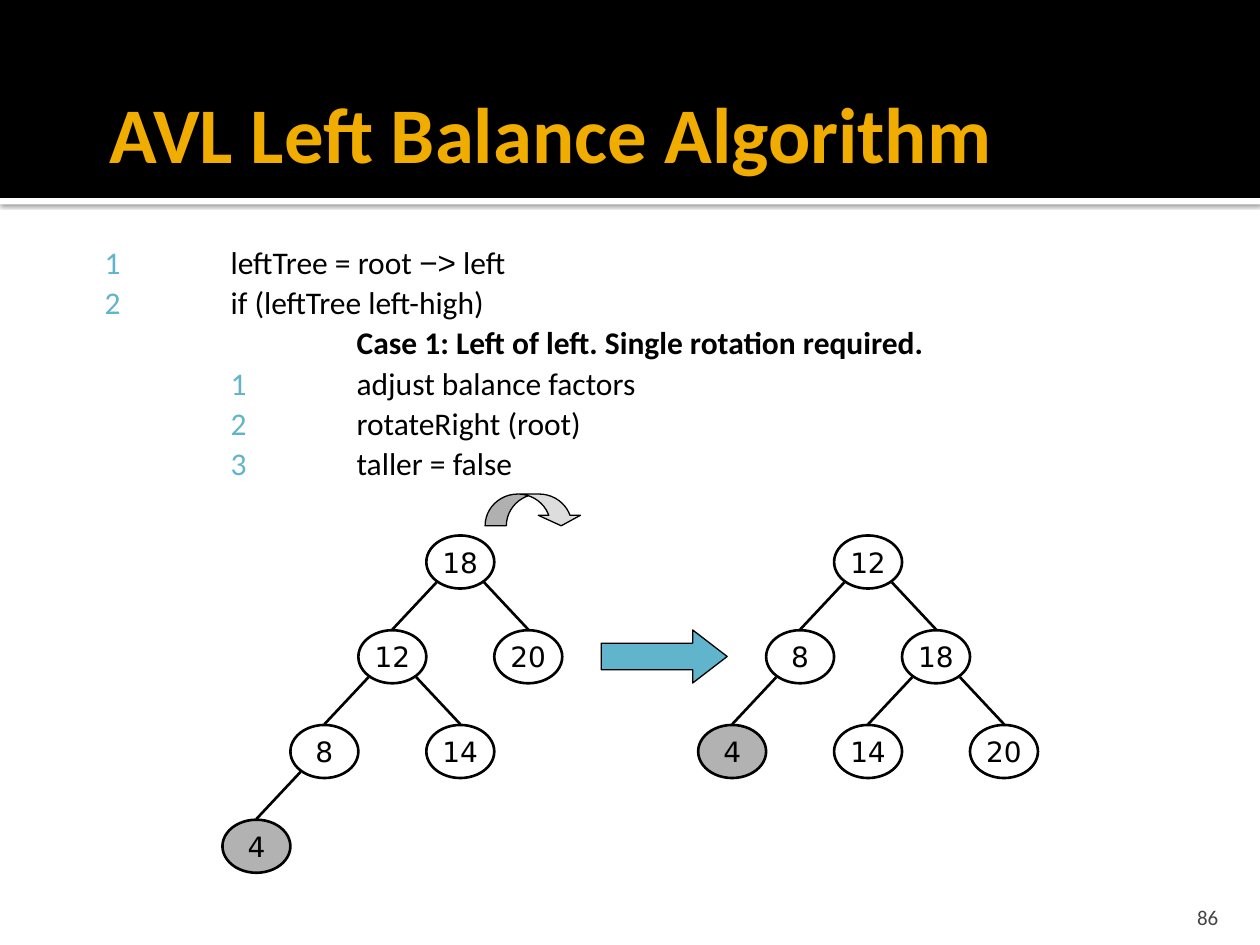
"""Build the AVL left balance slide with its code steps and two trees."""
from lxml.etree import SubElement
from pptx import Presentation
from pptx.dml.color import RGBColor
from pptx.enum.shapes import MSO_CONNECTOR, MSO_SHAPE
from pptx.enum.text import MSO_ANCHOR, PP_ALIGN
from pptx.oxml.ns import qn
from pptx.util import Cm, Pt


def rgb(value):
    return RGBColor.from_string(value)


def add_run(p, text, size, color, font="Calibri", bold=False):
    r = p.add_run()
    r.text = text
    r.font.size = Pt(size)
    r.font.name = font
    r.font.bold = bold
    r.font.color.rgb = rgb(color)


prs = Presentation()
prs.slide_width, prs.slide_height = Cm(25.4), Cm(19.05)
s = prs.slides.add_slide(prs.slide_layouts[6])

for top, height, color in [(3.99, 0.13, "FFFFFF"), (0, 3.99, "000000")]:
    sp = s.shapes.add_shape(MSO_SHAPE.RECTANGLE, 0, Cm(top), Cm(25.4), Cm(height))
    sp.shadow.inherit = False
    sp.fill.solid()
    sp.fill.fore_color.rgb = rgb(color)
    sp.line.fill.background()
    if color == "FFFFFF":
        effects = sp._element.spPr.find(qn("a:effectLst"))
        shadow = SubElement(effects, qn("a:outerShdw"), blurRad="31750", dist="10160",
                            dir="5400000", algn="t", rotWithShape="0")
        clr = SubElement(shadow, qn("a:srgbClr"), val="000000")
        SubElement(clr, qn("a:alpha"), val="60000")

frames = []
for left, top, width, height, anchor, margins in [
    (22.78, 17.98, 2.03, 0.76, MSO_ANCHOR.BOTTOM, (0.25, 0.13, 0.25, 0)),
    (1.96, 1.07, 21.59, 3.18, MSO_ANCHOR.MIDDLE, (0.25, 0.13, 0.13, 0.13)),
    (1.96, 4.65, 21.59, 11.43, MSO_ANCHOR.TOP, (0.15, 0.25, 0.25, 0.13)),
]:
    tf = s.shapes.add_textbox(Cm(left), Cm(top), Cm(width), Cm(height)).text_frame
    tf.word_wrap = True
    tf.vertical_anchor = anchor
    tf.margin_left, tf.margin_top, tf.margin_right, tf.margin_bottom = map(Cm, margins)
    frames.append(tf)
number, title, body = frames

number.paragraphs[0].alignment = PP_ALIGN.RIGHT
add_run(number.paragraphs[0], "86", 12, "454545")
add_run(title.paragraphs[0], "AVL Left Balance Algorithm", 45, "F0AD00", bold=True)

black, blue = "000000", "60B5CC"
steps = [
    [("1", blue), ("\tleftTree = root ", black), ("−>", black, "Arial"), (" left", black)],
    [("2", blue), ("\tif (leftTree left-high)", black)],
    [("\t\t", black),
     ("Case 1: Left of left. Single rotation required.", black, "Calibri", True)],
    [("\t1", blue), ("\tadjust balance factors", black)],
    [("\t2", blue), ("\trotateRight (root)", black)],
    [("\t3", blue), ("\ttaller = false", black)],
]
for i, step in enumerate(steps):
    p = body.add_paragraph() if i else body.paragraphs[0]
    p.space_after = Pt(1.4)
    tabs = SubElement(p._p.get_or_add_pPr(), qn("a:tabLst"))
    for stop in (2.54, 5.08):
        SubElement(tabs, qn("a:tab"), pos=str(Cm(stop)), algn="l")
    for text, *style in step:
        add_run(p, text, 18, *style)

dx, dy, top = 1.37, 1.91, 11.33
node_w, node_h = 1.37, 1.07
trees = [
    (9.28, [("18", 0, 0, 0), ("12", -1, 1, -1), ("20", 1, 1, 1),
            ("8", -2, 2, -1), ("14", 0, 2, 1), ("4", -3, 3, -1)]),
    (17.5, [("12", 0, 0, 0), ("8", -1, 1, -1), ("18", 1, 1, 1),
            ("4", -2, 2, -1), ("14", 0, 2, -1), ("20", 2, 2, 1)]),
]
for root_x, nodes in trees:
    for label, col, row, side in nodes:
        x, y = root_x + col * dx, top + row * dy
        sp = s.shapes.add_shape(MSO_SHAPE.OVAL, Cm(x - node_w / 2), Cm(y - node_h / 2),
                                Cm(node_w), Cm(node_h))
        sp.shadow.inherit = False
        if label == "4":
            sp.fill.solid()
            sp.fill.fore_color.rgb = rgb("B2B2B2")
        else:
            sp.fill.background()
        sp.line.color.rgb = rgb(black)
        sp.line.width = Pt(1.5)
        tf = sp.text_frame
        tf.word_wrap = False
        tf.vertical_anchor = MSO_ANCHOR.MIDDLE
        tf.paragraphs[0].alignment = PP_ALIGN.CENTER
        add_run(tf.paragraphs[0], label, 16, black, "DejaVu Sans")
        if side:
            cx = s.shapes.add_connector(
                MSO_CONNECTOR.STRAIGHT, Cm(x - side * (dx - 0.48)), Cm(y - dy + 0.41),
                Cm(x), Cm(y - 0.55))
            cx.line.color.rgb = rgb(black)
            cx.line.width = Pt(1.5)
            SubElement(cx._element.spPr, qn("a:effectLst"))

for kind, left, top, width, height, color, adjustments in [
    (MSO_SHAPE.RIGHT_ARROW, 12.12, 12.7, 2.54, 1.07, blue, (0.5, 0.65)),
    (MSO_SHAPE.CURVED_DOWN_ARROW, 9.78, 9.96, 1.96, 0.64, "DDDDDD", (0.67, 1.33, 0.33)),
]:
    sp = s.shapes.add_shape(kind, Cm(left), Cm(top), Cm(width), Cm(height))
    sp.shadow.inherit = False
    sp.fill.solid()
    sp.fill.fore_color.rgb = rgb(color)
    sp.line.color.rgb = rgb(black)
    sp.line.width = Pt(0.75)
    for i, value in enumerate(adjustments):
        sp.adjustments[i] = value

prs.save("out.pptx")
